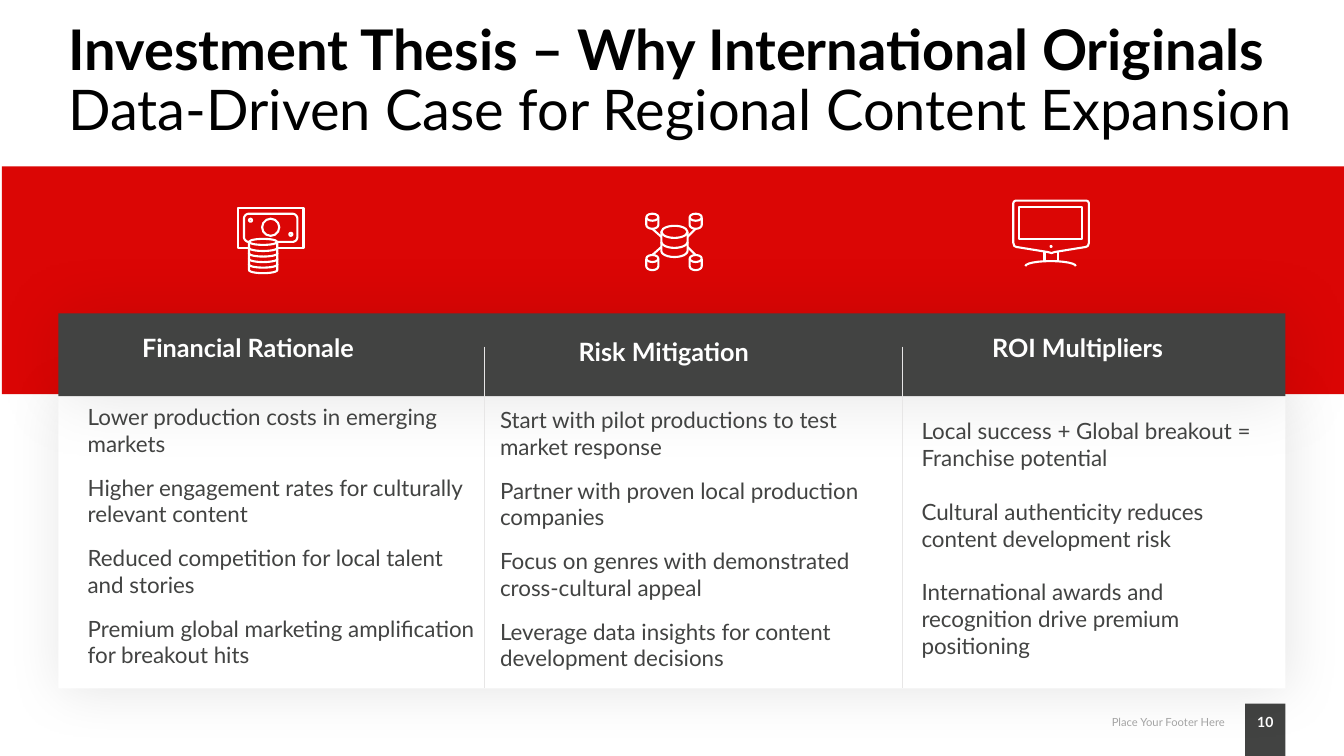
from math import cos, radians, sin

from lxml import etree
from pptx import Presentation
from pptx.dml.color import RGBColor
from pptx.enum.shapes import MSO_CONNECTOR, MSO_SHAPE
from pptx.enum.text import MSO_ANCHOR, PP_ALIGN
from pptx.oxml.ns import qn
from pptx.util import Inches, Pt

RECTANGLE, OVAL = MSO_SHAPE.RECTANGLE, MSO_SHAPE.OVAL
STRAIGHT = MSO_CONNECTOR.STRAIGHT
TOP, MIDDLE = MSO_ANCHOR.TOP, MSO_ANCHOR.MIDDLE
LEFT, CENTER, RIGHT = PP_ALIGN.LEFT, PP_ALIGN.CENTER, PP_ALIGN.RIGHT

FONT = "Lato"
BLACK = RGBColor(0x00, 0x00, 0x00)
WHITE = RGBColor(0xFF, 0xFF, 0xFF)
RED = RGBColor(0xDB, 0x06, 0x05)
CHARCOAL = RGBColor(0x42, 0x43, 0x42)
PALE_GRAY = RGBColor(0xE7, 0xE6, 0xE6)
FOOTER_GRAY = RGBColor(0xA6, 0xA6, 0xA6)

COLUMNS = [
    {
        "heading": ("Financial Rationale", 1.41, 3.3, 2.47),
        "body": (0.87, 4, 3.9, 2.66),
        "gap": 12,
        "points": [
            "Lower production costs in emerging markets",
            "Higher engagement rates for culturally relevant content",
            "Reduced competition for local talent and stories",
            "Premium global marketing amplification for breakout hits",
        ],
    },
    {
        "heading": ("Risk Mitigation", 5.74, 3.34, 1.86),
        "body": (4.96, 4.03, 3.8, 2.66),
        "gap": 12,
        "points": [
            "Start with pilot productions to test market response",
            "Partner with proven local production companies",
            "Focus on genres with demonstrated cross-cultural appeal",
            "Leverage data insights for content development decisions",
        ],
    },
    {
        "heading": ("ROI Multipliers", 9.84, 3.3, 1.92),
        "body": (9.14, 4.14, 3.32, 2.42),
        "gap": 19.2,
        "points": [
            "Local success + Global breakout = Franchise potential",
            "Cultural authenticity reduces content development risk",
            "International awards and recognition drive premium positioning",
        ],
    },
]


def add_span(para, text, size, color, bold=False):
    span = para.add_run()
    span.text = text
    span.font.name = FONT
    span.font.size = Pt(size)
    span.font.bold = bold
    span.font.color.rgb = color


def add_text(page, lines, left, top, width, height, size=16, color=CHARCOAL,
             bold=False, align=LEFT, anchor=TOP, gap=0):
    box = page.shapes.add_textbox(Inches(left), Inches(top), Inches(width), Inches(height))
    frame = box.text_frame
    frame.word_wrap = True
    frame.vertical_anchor = anchor
    frame.margin_left = frame.margin_right = frame.margin_top = frame.margin_bottom = 0
    for index, line in enumerate(lines):
        para = frame.add_paragraph() if index else frame.paragraphs[0]
        para.alignment = align
        para.space_after = Pt(gap)
        add_span(para, line, size, color, bold)


def paint(shape, fill=None, line=None):
    shape.shadow.inherit = False
    if fill is None:
        shape.fill.background()
    else:
        shape.fill.solid()
        shape.fill.fore_color.rgb = fill
    if line is None:
        shape.line.fill.background()
    else:
        shape.line.color.rgb = line
        shape.line.width = Pt(1.5)


def add_preset(holder, preset, left, top, width, height, fill=None, line=None):
    shape = holder.shapes.add_shape(
        preset, Inches(left), Inches(top), Inches(width), Inches(height))
    paint(shape, fill, line)
    return shape


def cast_shadow(shape, blur):
    effects = shape._element.spPr.find(qn("a:effectLst"))
    shadow = etree.SubElement(
        effects, qn("a:outerShdw"), blurRad=str(Pt(blur)), dist=str(Pt(3)),
        dir="2700000", algn="tl", rotWithShape="0")
    color = etree.SubElement(shadow, qn("a:srgbClr"), val="000000")
    etree.SubElement(color, qn("a:alpha"), val="10000")


def add_line(holder, x1, y1, x2, y2, color=WHITE, width=1.5):
    line = holder.shapes.add_connector(
        STRAIGHT, Inches(x1), Inches(y1), Inches(x2), Inches(y2))
    line.line.color.rgb = color
    line.line.width = Pt(width)
    etree.SubElement(line._element.spPr, qn("a:effectLst"))


def arc(x, y, radius_x, radius_y, start, end):
    steps = 12
    angles = [radians(start + (end - start) * step / steps) for step in range(steps + 1)]
    return [(x + radius_x * cos(angle), y + radius_y * sin(angle)) for angle in angles]


def add_outline(icon, points, close=False):
    corners = [(Inches(x), Inches(y)) for x, y in points]
    builder = icon.shapes.build_freeform(*corners[0])
    builder.add_line_segments(corners[1:], close=close)
    paint(builder.convert_to_shape(), line=WHITE)


def add_bowl(icon, left, top, width, side, depth):
    radius = width / 2
    rim = arc(left + radius, top + side, radius, depth, 0, 180)
    add_outline(icon, [(left + width, top), *rim, (left, top)])


def draw_money(page):
    icon = page.shapes.add_group_shape()
    add_preset(icon, OVAL, 2.47, 2.37, 0.28, 0.06, line=WHITE)
    for coin in range(5):
        add_bowl(icon, 2.47, 2.4 + 0.055 * coin, 0.28, 0.06, 0.03)
    add_outline(icon, [(2.47, 2.46), (2.36, 2.46), (2.36, 2.06),
                       (3.01, 2.06), (3.01, 2.46), (2.75, 2.46)])
    for left, top, size in [(2.6, 2.17, 0.17), (2.47, 2.17, 0.03), (2.87, 2.31, 0.03)]:
        add_preset(icon, OVAL, left, top, size, size, line=WHITE)
    border = []
    centers = [(2.47, 2.35), (2.47, 2.17), (2.9, 2.17), (2.9, 2.35)]
    for index, (x, y) in enumerate(centers, start=1):
        border += arc(x, y, 0.05, 0.05, 90 * index, 90 * (index + 1))
    add_outline(icon, border + [(2.75, 2.4)])


def draw_network(page):
    icon = page.shapes.add_group_shape()
    add_preset(icon, OVAL, 6.56, 2.24, 0.26, 0.12, line=WHITE)
    add_bowl(icon, 6.56, 2.4, 0.26, 0, 0.06)
    add_bowl(icon, 6.56, 2.3, 0.26, 0.19, 0.06)
    for left, outer_x, inner_x in [(6.41, 6.47, 6.56), (6.84, 6.9, 6.82)]:
        for top, outer_y, inner_y in [(2.12, 2.27, 2.35), (2.53, 2.53, 2.45)]:
            add_preset(icon, OVAL, left, top, 0.12, 0.07, line=WHITE)
            add_bowl(icon, left, top + 0.04, 0.12, 0.07, 0.04)
            add_line(icon, outer_x, outer_y, inner_x, inner_y)


def draw_monitor(page):
    icon = page.shapes.add_group_shape()
    case = arc(10.08, 2.02, 0.03, 0.03, 180, 270) + arc(10.77, 2.02, 0.03, 0.03, 270, 360)
    case += [(10.8, 2.41), (10.79, 2.44), (10.77, 2.45), (10.46, 2.5), (10.43, 2.51),
             (10.39, 2.5), (10.08, 2.45), (10.06, 2.44), (10.05, 2.41)]
    add_outline(icon, case, close=True)
    add_preset(icon, RECTANGLE, 10.11, 2.05, 0.62, 0.32, line=WHITE)
    add_preset(icon, OVAL, 10.41, 2.43, 0.03, 0.03, fill=WHITE)
    for x in (10.36, 10.49):
        add_line(icon, x, 2.5, x, 2.59)
    add_outline(icon, arc(10.42, 2.64, 0.25, 0.05, 180, 360))


def format_title(page):
    title = page.shapes.title
    title.left, title.top = Inches(0.58), Inches(-0.01)
    title.width, title.height = Inches(12.89), Inches(1.65)
    title.text_frame.word_wrap = True
    title.text_frame.vertical_anchor = MIDDLE
    para = title.text_frame.paragraphs[0]
    para.alignment = LEFT
    para.line_spacing = 0.9
    add_span(para, "Investment Thesis – Why International Originals", 40, BLACK, bold=True)
    para.add_line_break()
    add_span(para, "Data-Driven Case for Regional Content Expansion", 40, BLACK)


def main():
    deck = Presentation()
    deck.slide_width, deck.slide_height = Inches(13.33), Inches(7.5)
    page = deck.slides.add_slide(deck.slide_layouts[5])
    format_title(page)

    add_preset(page, RECTANGLE, 12.35, 6.98, 0.4, 0.52, fill=CHARCOAL)
    add_text(page, ["10"], 12.37, 7.08, 0.36, 0.17, size=10, color=WHITE,
             bold=True, align=CENTER, anchor=MIDDLE)
    add_text(page, ["Place Your Footer Here"], 10.79, 7.1, 1.36, 0.13, size=8,
             color=FOOTER_GRAY, align=RIGHT, anchor=MIDDLE)

    add_preset(page, RECTANGLE, 0.02, 1.65, 13.33, 2.26, fill=RED)
    card = add_preset(page, RECTANGLE, 0.58, 3.92, 12.17, 2.91, fill=WHITE)
    cast_shadow(card, 40)
    header = add_preset(page, RECTANGLE, 0.58, 3.11, 12.17, 0.82, fill=CHARCOAL)
    cast_shadow(header, 50)
    for x in (4.8, 8.95):
        add_line(page, x, 3.44, x, 6.83, color=PALE_GRAY, width=0.5)

    for column in COLUMNS:
        heading, left, top, width = column["heading"]
        add_text(page, [heading], left, top, width, 0.3, size=18, color=WHITE, bold=True)
        add_text(page, column["points"], *column["body"], gap=column["gap"])

    draw_money(page)
    draw_network(page)
    draw_monitor(page)
    deck.save("out.pptx")


if __name__ == "__main__":
    main()
